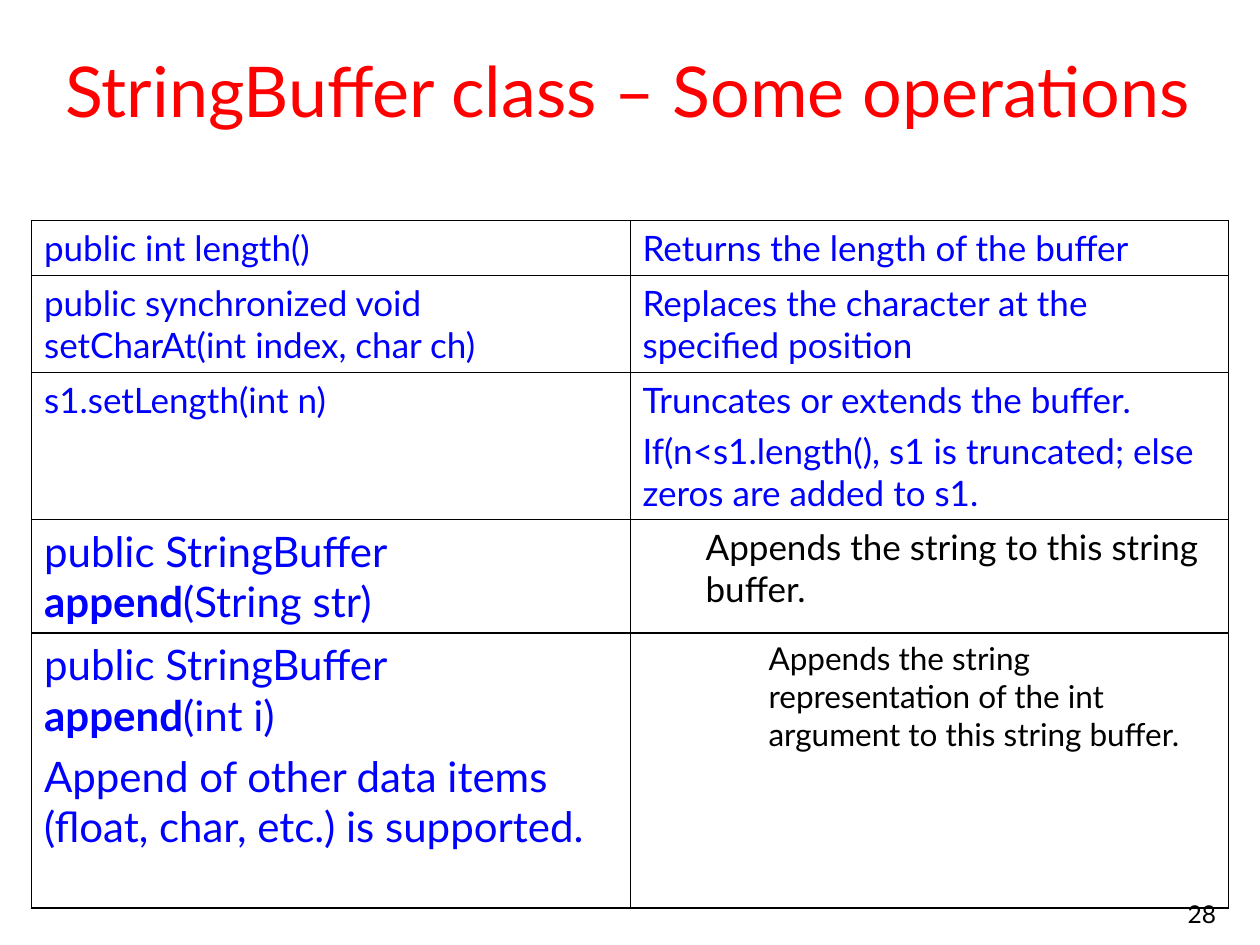
from dataclasses import dataclass

from lxml.etree import SubElement
from pptx import Presentation
from pptx.dml.color import RGBColor
from pptx.enum.text import MSO_ANCHOR, PP_ALIGN
from pptx.oxml.ns import qn
from pptx.util import Inches, Pt

FONT = "Lato"
BLACK, BLUE, RED, WHITE = "000000", "0000FF", "FF0000", "FFFFFF"
THIN, THICK = 0.45, 1.08
ROW_HEIGHTS = [0.43, 0.77, 1.17, 0.9, 2.18]
COLUMN_WIDTH = 4.75


@dataclass
class Entry:
    """Text of one table cell: paragraphs made of (text, bold) runs."""

    paragraphs: list
    size: float = 20
    color: str = BLUE
    level: int = 0


def plain(*texts, **style):
    """Return an entry with one regular run per paragraph."""
    return Entry([[(text, False)] for text in texts], **style)


def append_signature(argument):
    """Return the runs of an append method signature."""
    return [("public StringBuffer ", False), ("append", True), (f"({argument})", False)]


OPERATIONS = [
    (plain("public int length()"), plain("Returns the length of the buffer")),
    (
        plain("public synchronized void setCharAt(int index, char ch)"),
        plain("Replaces the character at the specified position"),
    ),
    (
        plain("s1.setLength(int n)"),
        plain(
            "Truncates or extends the buffer.",
            "If(n<s1.length(), s1 is truncated; else zeros are added to s1.",
        ),
    ),
    (
        Entry([append_signature("String\u00a0str")], size=24),
        plain("Appends the string to this string buffer.", color=BLACK, level=1),
    ),
    (
        Entry(
            [
                append_signature("int\u00a0i"),
                [("Append of other data items (float, char, etc.) is supported.", False)],
            ],
            size=24,
        ),
        plain(
            "Appends the string representation of the int argument to this string buffer.",
            size=18, color=BLACK, level=2,
        ),
    ),
]


def rgb(color):
    """Turn a hex string into a colour."""
    return RGBColor.from_string(color)


def add_run(paragraph, text, size, color, bold=False):
    """Append one styled run to a paragraph."""
    run = paragraph.add_run()
    run.text = text
    run.font.name = FONT
    run.font.size = Pt(size)
    run.font.bold = bold
    run.font.color.rgb = rgb(color)


def add_label(slide, text, box, size, color, align, anchor, fill=None):
    """Add a text box holding a single line."""
    label = slide.shapes.add_textbox(*map(Inches, box))
    if fill:
        label.fill.solid()
        label.fill.fore_color.rgb = rgb(fill)
    frame = label.text_frame
    frame.word_wrap = True
    frame.vertical_anchor = anchor
    paragraph = frame.paragraphs[0]
    paragraph.alignment = align
    add_run(paragraph, text, size, color)


def set_borders(cell, widths):
    """Draw black borders of the given widths: left, right, top, bottom."""
    properties = cell._tc.get_or_add_tcPr()
    for side, width in zip("LRTB", widths):
        line = SubElement(properties, qn(f"a:ln{side}"), w=str(Pt(width)))
        fill = SubElement(line, qn("a:solidFill"))
        SubElement(fill, qn("a:srgbClr"), val=BLACK)


def fill_cell(cell, entry):
    """Write an entry into a table cell."""
    frame = cell.text_frame
    for index, runs in enumerate(entry.paragraphs):
        paragraph = frame.add_paragraph() if index else frame.paragraphs[0]
        paragraph.level = entry.level
        paragraph.space_before = Pt(entry.size / 4)
        properties = paragraph._p.get_or_add_pPr()
        properties.set("marL", str(Inches(0.5 * entry.level)))
        properties.set("indent", "0")
        for text, bold in runs:
            add_run(paragraph, text, entry.size, entry.color, bold)


def add_operations(slide):
    """Add the table of methods and their descriptions."""
    table = slide.shapes.add_table(
        len(OPERATIONS), 2, Inches(0.25), Inches(1.75),
        Inches(2 * COLUMN_WIDTH), Inches(sum(ROW_HEIGHTS)),
    ).table
    table.first_row = table.horz_banding = False
    for column in table.columns:
        column.width = Inches(COLUMN_WIDTH)
    rule_widths = [THICK, THIN, THIN, THICK, THICK, THICK]
    side_widths = [THICK, THIN, THICK]
    for r, entries in enumerate(OPERATIONS):
        table.rows[r].height = Inches(ROW_HEIGHTS[r])
        for c, entry in enumerate(entries):
            cell = table.cell(r, c)
            set_borders(cell, side_widths[c:c + 2] + rule_widths[r:r + 2])
            cell.fill.background()
            fill_cell(cell, entry)


def main():
    """Build the slide and save it."""
    deck = Presentation()
    deck.slide_width, deck.slide_height = Inches(10), Inches(7.5)
    slide = deck.slides.add_slide(deck.slide_layouts[6])
    add_label(slide, "28", (7.67, 6.92, 2.08, 0.5), 14, BLACK,
              PP_ALIGN.RIGHT, MSO_ANCHOR.BOTTOM)
    add_label(slide, "StringBuffer class – Some operations", (0.17, 0.17, 9.62, 1.08),
              40, RED, PP_ALIGN.CENTER, MSO_ANCHOR.MIDDLE, WHITE)
    add_operations(slide)
    deck.save("out.pptx")


main()
